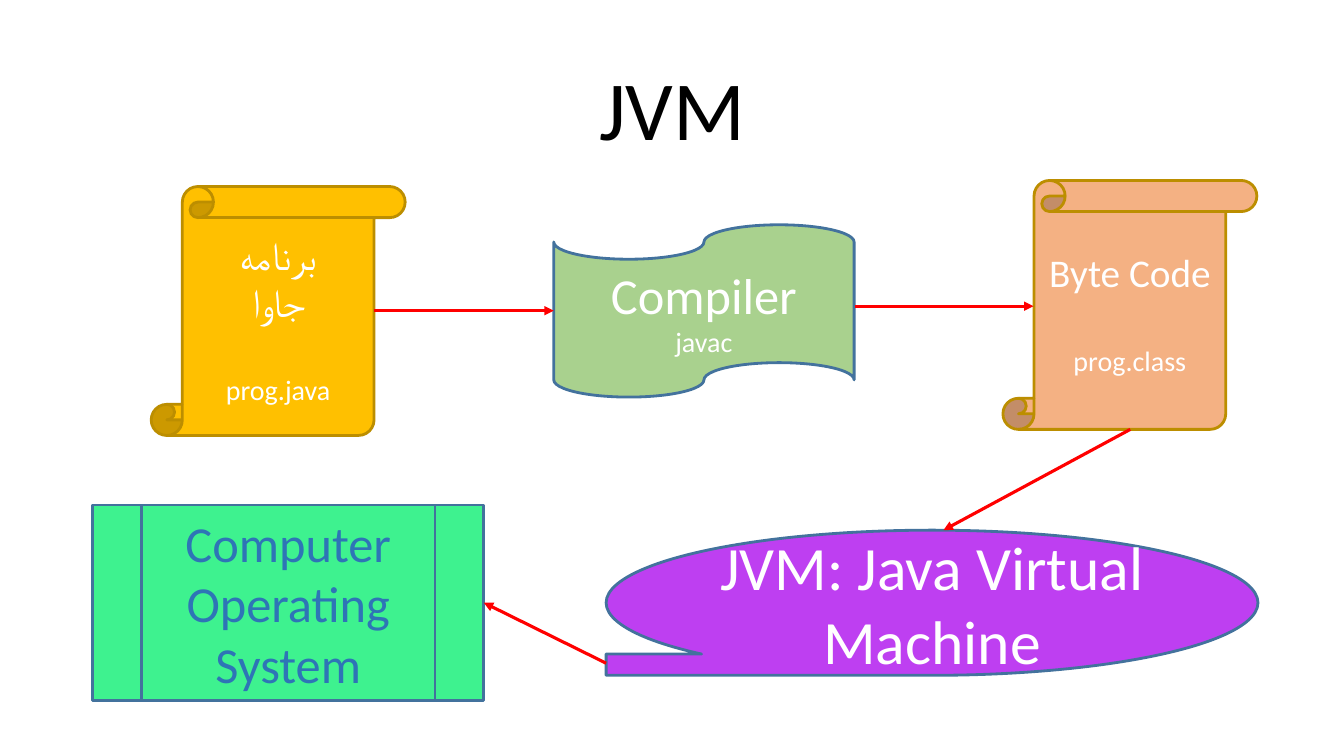
from dataclasses import dataclass
from lxml.etree import SubElement
from pptx import Presentation
from pptx.dml.color import RGBColor
from pptx.enum.shapes import MSO_CONNECTOR, MSO_SHAPE
from pptx.enum.text import MSO_ANCHOR, PP_ALIGN
from pptx.oxml.ns import qn
from pptx.util import Inches, Pt


@dataclass(frozen=True)
class Theme:
    font: str = "Calibri"
    black: str = "000000"
    white: str = "FFFFFF"
    blue: str = "2E75B6"
    edge: str = "43729D"
    brown: str = "BC8E00"
    gold: str = "FFC000"
    peach: str = "F4B183"
    green: str = "A9D18E"
    purple: str = "BE3FF1"
    mint: str = "3EF28F"
    red: str = "FF0000"
    title: int = 60
    huge: int = 44
    large: int = 36
    body: int = 28
    small: int = 20
    rim: float = 2
    arrow: float = 2.25


class Deck:
    """Places elements by percent of the slide's width and height."""

    def __init__(self, theme):
        self.theme = theme
        self.deck = Presentation()
        self.deck.slide_width = Inches(13.33)
        self.deck.slide_height = Inches(7.5)
        self.slide = self.deck.slides.add_slide(self.deck.slide_layouts[5])

    def across(self, share):
        return round(self.deck.slide_width * share / 100)

    def down(self, share):
        return round(self.deck.slide_height * share / 100)

    def place(self, box):
        left, top, width, height = box
        return self.across(left), self.down(top), self.across(width), self.down(height)

    def label(self, frame, lines, color, gap=0):
        """Each line is (text, size); gap is the space before later lines."""
        frame.word_wrap = True
        frame.vertical_anchor = MSO_ANCHOR.MIDDLE
        for row, (text, size) in enumerate(lines):
            para = frame.add_paragraph() if row else frame.paragraphs[0]
            para.text = text
            para.alignment = PP_ALIGN.CENTER
            para.space_before = Pt(gap if row else 0)
            for run in para.runs:
                style = {"name": self.theme.font, "size": Pt(size)}
                for key, value in style.items():
                    setattr(run.font, key, value)
                run.font.color.rgb = RGBColor.from_string(color)

    def title(self, text, box):
        head = self.slide.shapes.title
        for key, value in zip(("left", "top", "width", "height"), self.place(box)):
            setattr(head, key, value)
        self.label(head.text_frame, [(text, self.theme.title)], self.theme.black)
        head.text_frame.paragraphs[0].line_spacing = 0.9

    def stroke(self, line, color, width):
        line.color.rgb = RGBColor.from_string(color)
        line.width = Pt(width)

    def shape(self, kind, box, fill, lines, edge=None, color=None, gap=0, flip=False):
        item = self.slide.shapes.add_shape(kind, *self.place(box))
        item.shadow.inherit = False
        item.fill.solid()
        item.fill.fore_color.rgb = RGBColor.from_string(fill)
        self.stroke(item.line, edge or self.theme.edge, self.theme.rim)
        if flip:
            item._element.spPr.find(qn("a:xfrm")).set("flipH", "1")
        self.label(item.text_frame, lines, color or self.theme.white, gap)

    def arrow(self, start, end):
        ends = [fit(share) for point in (start, end)
                for fit, share in zip((self.across, self.down), point)]
        item = self.slide.shapes.add_connector(MSO_CONNECTOR.STRAIGHT, *ends)
        self.stroke(item.line, self.theme.red, self.theme.arrow)
        SubElement(item.line._get_or_add_ln(), qn("a:tailEnd"), type="triangle")
        SubElement(item._element.spPr, qn("a:effectLst"))


def main():
    theme = Theme()
    page = Deck(theme)
    page.title("JVM", (6.9, 5.33, 86.25, 19.33))

    # Source and byte code scrolls
    scrolls = [
        (11.25, 24.67, theme.gold, "برنامه\vجاوا", "prog.java"),
        (74.62, 23.87, theme.peach, "Byte Code", "prog.class"),
    ]
    for left, top, fill, name, code in scrolls:
        page.shape(MSO_SHAPE.VERTICAL_SCROLL, (left, top, 18.9, 32.93), fill,
                   [(name, theme.body), (code, theme.small)],
                   edge=theme.brown, gap=34)

    # Compiler, virtual machine and computer
    page.shape(MSO_SHAPE.FLOWCHART_PUNCHED_TAPE, (41.2, 29.73, 22.35, 22.8),
               theme.green, [("Compiler", theme.large), ("javac", theme.small)])
    page.shape(MSO_SHAPE.FLOWCHART_SEQUENTIAL_ACCESS_STORAGE,
               (45.1, 70.13, 48.5, 19.2), theme.purple,
               [("JVM: Java Virtual Machine", theme.huge)], flip=True)
    page.shape(MSO_SHAPE.FLOWCHART_PREDEFINED_PROCESS, (6.9, 66.8, 29.1, 25.87),
               theme.mint, [("Computer Operating System", theme.large)],
               color=theme.blue)

    # Flow from source to computer
    flow = [
        ((27.85, 41.1), (41.2, 41.1)),
        ((63.6, 40.5), (76.9, 40.5)),
        ((84.1, 56.8), (70.2, 70.13)),
        ((45.1, 87.73), (36, 79.73)),
    ]
    for start, end in flow:
        page.arrow(start, end)

    page.deck.save("out.pptx")


if __name__ == "__main__":
    main()
